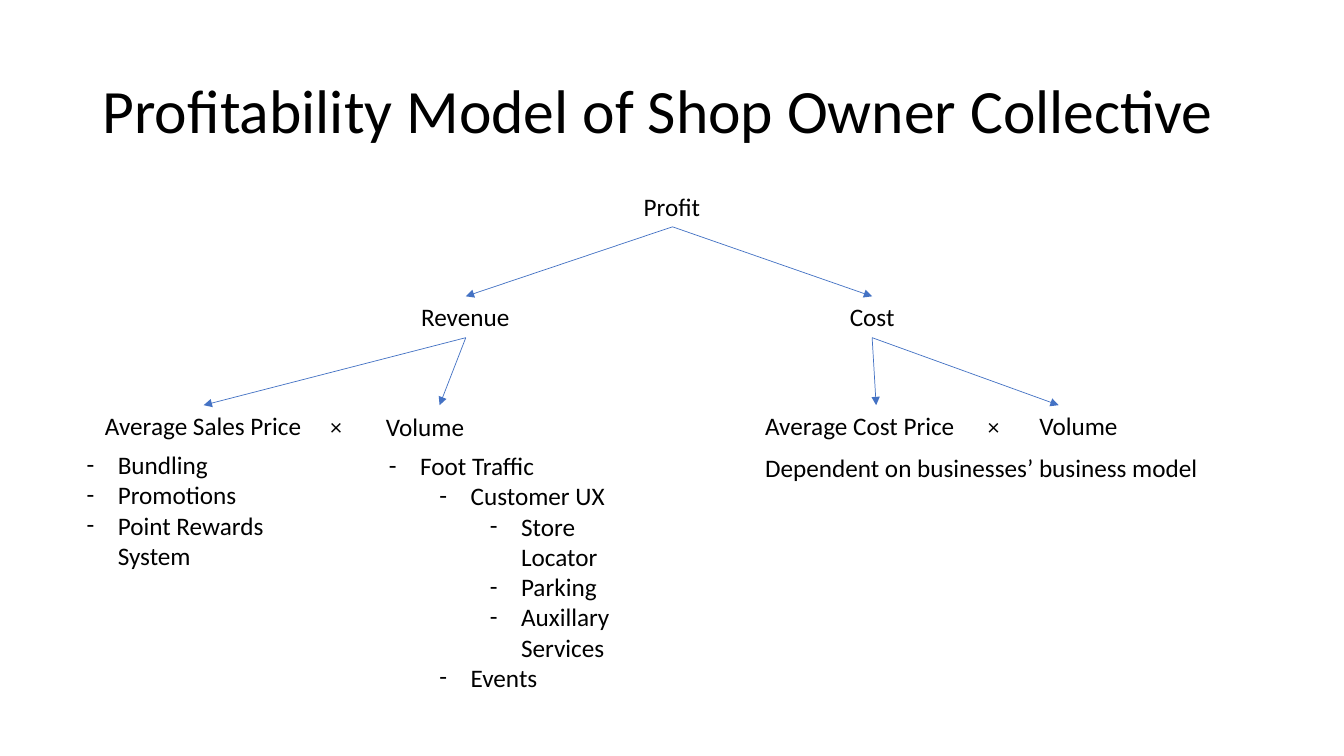
from lxml.etree import SubElement
from pptx import Presentation
from pptx.dml.color import RGBColor
from pptx.enum.shapes import MSO_CONNECTOR as Connector
from pptx.enum.text import MSO_ANCHOR as Anchor, MSO_AUTO_SIZE as AutoSize, PP_ALIGN as Align
from pptx.oxml.ns import qn
from pptx.util import Inches, Pt


def color(hex_code):
    return RGBColor.from_string(hex_code)


class ProfitSlide:
    """Holds the slide and its style, and draws each kind of element."""

    font, ink, accent = "Calibri", "000000", "4472C4"
    hanging, level_step = 0.31, 0.5

    def __init__(self, deck):
        self.slide = deck.slides.add_slide(deck.slide_layouts[6])

    def frame(self, box, auto_size=AutoSize.SHAPE_TO_FIT_TEXT):
        frame = self.slide.shapes.add_textbox(*map(Inches, box)).text_frame
        frame.word_wrap = True
        frame.auto_size = auto_size
        return frame

    def wording_run(self, paragraph, wording, size=18, font=None):
        run = paragraph.add_run()
        run.text = wording
        run.font.size = Pt(size)
        run.font.name = font or self.font
        run.font.color.rgb = color(self.ink)

    def title(self, wording, box):
        frame = self.frame(box, AutoSize.NONE)
        frame.vertical_anchor = Anchor.MIDDLE
        heading = frame.paragraphs[0]
        heading.line_spacing = 0.9
        self.wording_run(heading, wording, size=44)

    def label(self, wording, box, align=Align.CENTER, font=None):
        paragraph = self.frame(box).paragraphs[0]
        paragraph.alignment = align
        self.wording_run(paragraph, wording, font=font)

    def drivers(self, entries, box):
        frame = self.frame(box)
        for index, (level, wording) in enumerate(entries):
            entry = frame.add_paragraph() if index else frame.paragraphs[0]
            entry.level = level
            properties = entry._p.get_or_add_pPr()
            properties.set("marL", str(Inches(self.hanging + level * self.level_step)))
            properties.set("indent", str(-Inches(self.hanging)))
            SubElement(properties, qn("a:buFont")).set("typeface", self.font)
            SubElement(properties, qn("a:buChar")).set("char", "-")
            self.wording_run(entry, wording)

    def arrow(self, start, end):
        link = self.slide.shapes.add_connector(
            Connector.STRAIGHT, *map(Inches, (*start, *end)))
        link.line.color.rgb = color(self.accent)
        link.line.width = Pt(0.5)
        properties = link._element.spPr
        SubElement(properties.find(qn("a:ln")), qn("a:tailEnd")).set("type", "triangle")
        SubElement(properties, qn("a:effectLst"))


def main():
    deck = Presentation()
    deck.slide_width, deck.slide_height = Inches(13.33), Inches(7.5)
    page = ProfitSlide(deck)

    page.title("Profitability Model of Shop Owner Collective", (0.92, 0.4, 11.5, 1.45))

    for wording, box in (
        ("Profit", (6, 1.85, 1.33, 0.4)),
        ("Revenue", (3.3, 2.94, 2.63, 0.4)),
        ("Cost", (7.27, 2.94, 2.76, 0.4)),
        ("Average Sales Price", (0.05, 4.02, 3.93, 0.4)),
    ):
        page.label(wording, box)

    for wording, box in (
        ("Volume", (3.73, 4.03, 2.6, 0.4)),
        ("Average Cost Price", (7.49, 4.02, 2.39, 0.4)),
        ("Volume", (10.21, 4.02, 1.72, 0.4)),
        ("Dependent on businesses’ business model", (7.49, 4.44, 4.64, 0.4)),
    ):
        page.label(wording, box, Align.LEFT)

    for times_left in (3.02, 9.54):
        page.label("×", (times_left, 4.02, 0.63, 0.61), font="Cambria")

    profit, revenue, cost = 6.67, 4.62, 8.65
    for top, bottom, parent, children in (
        (2.25, 2.94, profit, (cost, revenue)),
        (3.35, 4.02, revenue, (2.02, 4.36)),
        (3.35, 4.02, cost, (8.69, 10.5)),
    ):
        for child in children:
            page.arrow((parent, top), (child, bottom))

    page.drivers(
        [(0, "Bundling"), (0, "Promotions"), (0, "Point Rewards System")],
        (0.76, 4.41, 2.52, 1.31))
    page.drivers(
        [(0, "Foot Traffic"), (1, "Customer UX"), (2, "Store Locator"),
         (2, "Parking"), (2, "Auxillary Services"), (1, "Events")],
        (3.76, 4.42, 2.77, 2.52))

    deck.save("out.pptx")


if __name__ == "__main__":
    main()
